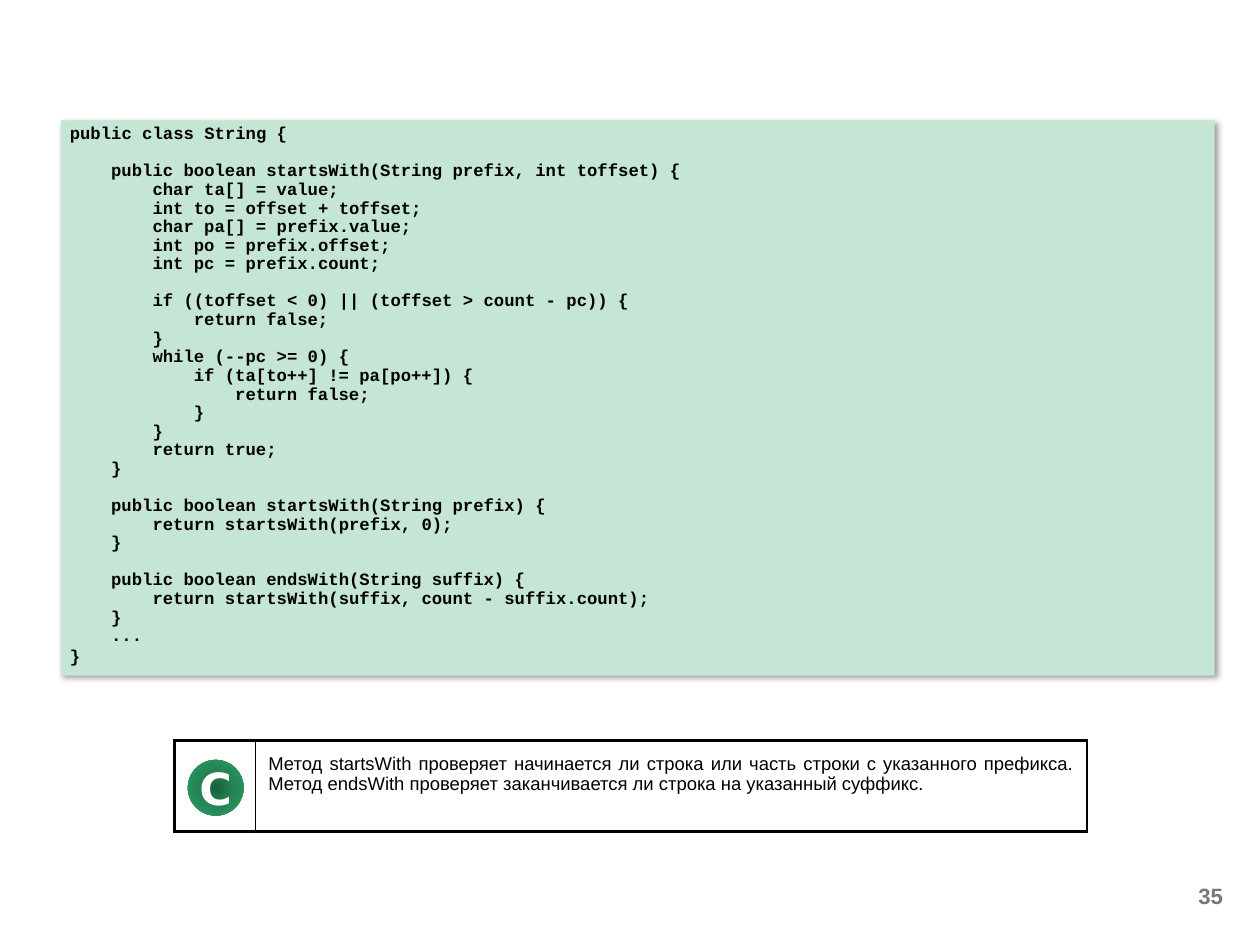
from pptx import Presentation
from pptx.dml.color import RGBColor as Rgb
from pptx.enum.shapes import MSO_SHAPE as Kind
from pptx.enum.text import MSO_ANCHOR as Anchor, PP_ALIGN as Align
from pptx.oxml import parse_xml
from pptx.oxml.ns import nsdecls
from pptx.util import Inches, Pt

HUES = {"ink": "000000", "paper": "FFFFFF", "mint": "C5E5D5", "page": "777777",
        "deep": "1A5F3C", "mid": "258756", "rim": "2BA166"}
NS = nsdecls("a")
SIZE = 14
CHAR = 0.6 * SIZE   # advance of one fixed-width letter, in points
GAP = 15            # height of one skipped code line, in points

CODE = """public class String {

    public boolean startsWith(String prefix, int toffset) {
        char ta[] = value;
        int to = offset + toffset;
        char pa[] = prefix.value;
        int po = prefix.offset;
        int pc = prefix.count;

        if ((toffset < 0) || (toffset > count - pc)) {
            return false;
        }
        while (--pc >= 0) {
            if (ta[to++] != pa[po++]) {
                return false;
            }
        }
        return true;
    }

    public boolean startsWith(String prefix) {
        return startsWith(prefix, 0);
    }

    public boolean endsWith(String suffix) {
        return startsWith(suffix, count - suffix.count);
    }
    ...
}"""
NOTE = ("Метод startsWith проверяет начинается ли строка или часть строки "
        "с указанного префикса. Метод endsWith проверяет заканчивается ли "
        "строка на указанный суффикс.")

deck = Presentation()
deck.slide_width, deck.slide_height = Inches(14.22), Inches(10.67)
slide = deck.slides.add_slide(deck.slide_layouts[6])
shapes = slide.shapes


def place(left, top, width, height):
    """Turn percent shares of the slide into a box of lengths."""
    wide, high = deck.slide_width / 100, deck.slide_height / 100
    return int(left * wide), int(top * high), int(width * wide), int(height * high)


def write(para, text, hue, form, **font):
    """Put one run in a paragraph and set paragraph and font formats."""
    run = para.add_run()
    run.text = text
    run.font.color.rgb = Rgb.from_string(HUES[hue])
    for goal, values in ((para, form), (run.font, font)):
        for key, value in values.items():
            setattr(goal, key, value)


# Page number
page = shapes.add_textbox(*place(74.4, 92.31, 23.35, 4.97))
frame = page.text_frame
frame.word_wrap = True
frame.vertical_anchor = Anchor.MIDDLE
write(frame.paragraphs[0], "35", "page", {"alignment": Align.RIGHT},
      name="Arial", size=Pt(18), bold=True)

# Code panel
panel = shapes.add_shape(Kind.RECTANGLE, *place(4.85, 12.75, 91.56, 58.76))
panel.fill.solid()
panel.fill.fore_color.rgb = Rgb.from_string(HUES["mint"])
panel.line.fill.background()
panel.shadow.inherit = False
panel._element.spPr[-1].append(parse_xml(
    f'<a:outerShdw {NS} blurRad="{Pt(4)}" dist="{Pt(3)}" dir="2700000">'
    f'<a:srgbClr val="{HUES["ink"]}"><a:alpha val="40000"/></a:srgbClr></a:outerShdw>'))
frame = panel.text_frame
frame.word_wrap = True
frame.vertical_anchor = Anchor.TOP
lines = CODE.split("\n")
for row, line in enumerate(lines):
    text = line.strip()
    if not text:
        continue
    para = frame.add_paragraph() if row else frame.paragraphs[0]
    skip = row > 0 and not lines[row - 1]
    last = row == len(lines) - 1
    form = {"alignment": Align.LEFT, "line_spacing": 1.0 if last else 0.9,
            "space_before": Pt(GAP if skip else 0)}
    write(para, text, "ink", form, name="Courier New", size=Pt(SIZE), bold=True)
    para._p.get_or_add_pPr().set("marL", str(Pt(CHAR * (len(line) - len(text)))))

# Note table
grid = shapes.add_table(1, 2, *place(13.85, 78.35, 72.43, 9.65)).table
grid.first_row = grid.horz_banding = False
full = sum(col.width for col in grid.columns)
for col, share in zip(grid.columns, (8.84, 91.16)):
    col.width = int(full * share / 100)
THICK, THIN = 2.25, 0.5
for spot, cell in enumerate(grid.rows[0].cells):
    edges = {"L": THIN if spot else THICK, "R": THICK if spot else THIN,
             "T": THICK, "B": THICK}
    for side, weight in edges.items():
        cell._tc.get_or_add_tcPr().append(parse_xml(
            f'<a:ln{side} {NS} w="{Pt(weight)}"><a:solidFill>'
            f'<a:srgbClr val="{HUES["ink"]}"/></a:solidFill></a:ln{side}>'))
    cell.fill.solid()
    cell.fill.fore_color.rgb = Rgb.from_string(HUES["paper"])
for side in ("left", "top", "right", "bottom"):
    setattr(cell, f"margin_{side}", Inches(0.15))
write(cell.text_frame.paragraphs[0], NOTE, "ink", {"alignment": Align.JUSTIFY},
      name="Arial", size=Pt(15), bold=False)

# Round badge
badge = shapes.add_shape(Kind.OVAL, *place(14.91, 80.41, 4.43, 5.9))
badge.shadow.inherit = False
badge.line.fill.background()
badge.fill.background()
stops = "".join(f'<a:gs pos="{pos * 1000}"><a:srgbClr val="{HUES[hue]}"/></a:gs>'
                for pos, hue in ((0, "deep"), (50, "mid"), (100, "rim")))
props = badge._element.spPr
blend = parse_xml(
    f'<a:gradFill {NS}><a:gsLst>{stops}</a:gsLst><a:path path="circle">'
    '<a:fillToRect l="50000" t="50000" r="50000" b="50000"/></a:path></a:gradFill>')
props.replace(props.find("{*}noFill"), blend)
frame = badge.text_frame
frame.word_wrap = False
frame.vertical_anchor = Anchor.MIDDLE
for side in ("left", "top", "right", "bottom"):
    setattr(frame, f"margin_{side}", 0)
write(frame.paragraphs[0], "C", "paper", {"alignment": Align.CENTER},
      name="DejaVu Sans", size=Pt(36), bold=True)

deck.save("out.pptx")
